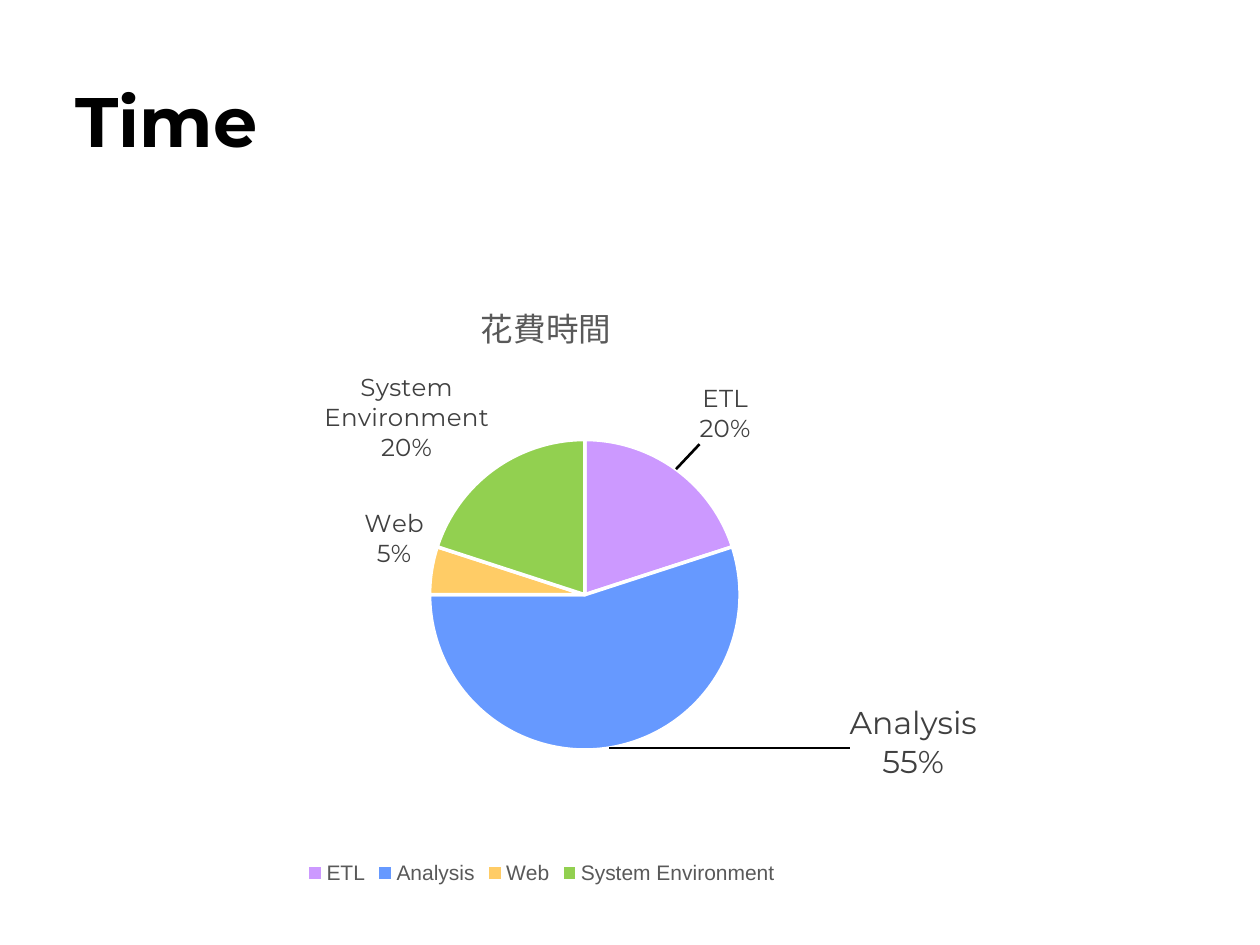
from lxml.etree import SubElement
from pptx import Presentation
from pptx.chart.data import CategoryChartData
from pptx.dml.color import RGBColor
from pptx.enum.chart import XL_CHART_TYPE, XL_LABEL_POSITION, XL_LEGEND_POSITION
from pptx.enum.text import MSO_ANCHOR
from pptx.oxml import parse_xml
from pptx.oxml.ns import nsdecls, qn
from pptx.util import Inches, Pt

HEADING = "Time"
CHART_TITLE = "花費時間"
SLICES = [
    ("ETL", 20, "CC99FF"),
    ("Analysis", 55, "6699FF"),
    ("Web", 5, "FFCC66"),
    ("System Environment", 20, "92D050"),
]
MOVED_LABELS = [(0, 14, 0.02, -0.03), (1, 18, 0.25, -0.08)]
LEFT, WIDTH = 0.5, 7.6


def rgb(value):
    return RGBColor.from_string(value)


def style(font, size, color, name, bold=False):
    font.size, font.name, font.bold = Pt(size), name, bold
    font.color.rgb = rgb(color)


def layout(**places):
    node = parse_xml(f"<c:layout {nsdecls('c')}><c:manualLayout/></c:layout>")
    for tag, value in places.items():
        SubElement(node[0], qn(f"c:{tag}")).set("val", str(value))
    return node


def show_name_and_percent(node):
    for tag, value in (("showVal", 0), ("showCatName", 1), ("showPercent", 1)):
        node.find(qn(f"c:{tag}")).set("val", str(value))
    separator = parse_xml(f"<c:separator {nsdecls('c')}>\n</c:separator>")
    node.find(qn("c:showBubbleSize")).addnext(separator)


prs = Presentation()
prs.slide_width, prs.slide_height = Inches(10), Inches(7.5)
s = prs.slides.add_slide(prs.slide_layouts[6])

data = CategoryChartData()
data.categories = [name for name, _, _ in SLICES]
data.add_series(CHART_TITLE, [value for _, value, _ in SLICES])
chart = s.shapes.add_chart(XL_CHART_TYPE.PIE, Inches(LEFT), Inches(2.03),
                           Inches(WIDTH), Inches(5.03), data).chart
style(chart.font, 10, "000000", "Arial")

chart.has_title = True
title = chart.chart_title
r = title.text_frame.paragraphs[0].add_run()
r.text = CHART_TITLE
style(r.font, 18.6, "595959", "Arial")
title.include_in_layout = False
title_node = title._element
for old in title_node.findall(qn("c:layout")):
    title_node.remove(old)
title_node.find(qn("c:tx")).addnext(layout(xMode="edge", yMode="edge", x=0.43, y=0.06))

chart.has_legend = True
chart.legend.position = XL_LEGEND_POSITION.BOTTOM
chart.legend.include_in_layout = False
style(chart.legend.font, 12, "595959", "Arial")

plot = chart.plots[0]
plot.vary_by_categories = True
area = plot._element.getparent()
for old in area.findall(qn("c:layout")):
    area.remove(old)
area.insert(0, layout(layoutTarget="inner", xMode="edge", yMode="edge",
                      x=0.38, y=0.29, w=0.33, h=0.49))

series = plot.series[0]
for i, (_, _, color) in enumerate(SLICES):
    fmt = series.points[i].format
    fmt.fill.solid()
    fmt.fill.fore_color.rgb = rgb(color)
    fmt.line.color.rgb = rgb("FFFFFF")
    fmt.line.width = Pt(2)

labels = series.data_labels
style(labels.font, 14, "404040", "Montserrat")
labels.position = XL_LABEL_POSITION.OUTSIDE_END
show_name_and_percent(labels._element)
leader = labels._element.find(qn("c:showLeaderLines"))
leader.set("val", "1")
leader.addnext(parse_xml(
    f'<c:leaderLines {nsdecls("c", "a")}><c:spPr><a:ln w="19050"><a:solidFill>'
    '<a:srgbClr val="000000"/></a:solidFill></a:ln></c:spPr></c:leaderLines>'))

for i, size, dx, dy in MOVED_LABELS:
    label = series.points[i].data_label
    style(label.font, size, "404040", "Montserrat")
    label.position = XL_LABEL_POSITION.OUTSIDE_END
    node = next(d for d in labels._element.findall(qn("c:dLbl"))
                if d.find(qn("c:idx")).get("val") == str(i))
    show_name_and_percent(node)
    node.find(qn("c:idx")).addnext(layout(x=dx, y=dy))

tf = s.shapes.add_textbox(Inches(LEFT), Inches(0.28), Inches(WIDTH), Inches(1.34)).text_frame
tf.word_wrap = True
tf.vertical_anchor = MSO_ANCHOR.MIDDLE
r = tf.paragraphs[0].add_run()
r.text = HEADING
style(r.font, 40, "000000", "Montserrat", bold=True)

prs.save("out.pptx")
